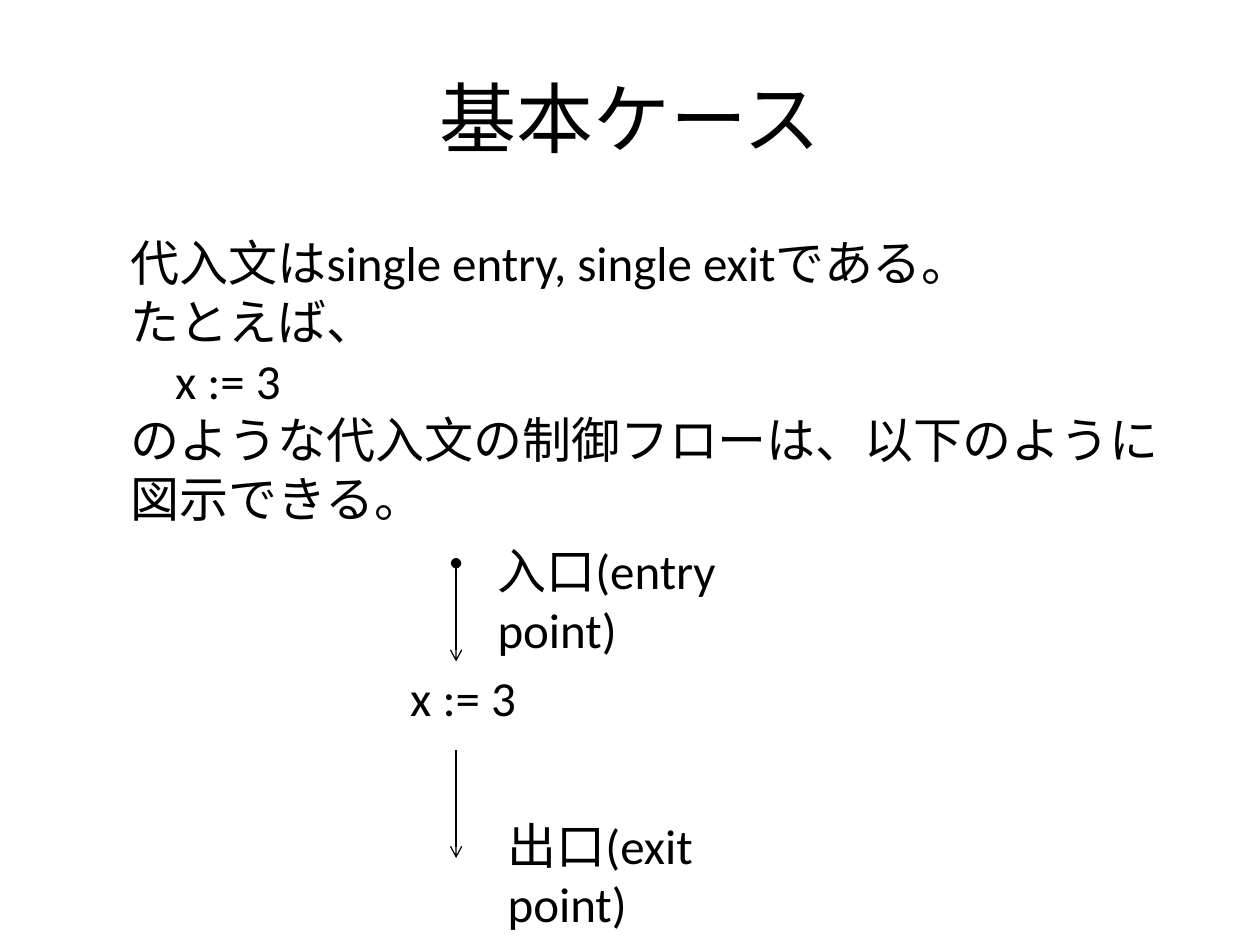
from lxml import etree
from pptx import Presentation
from pptx.dml.color import RGBColor
from pptx.enum.shapes import MSO_CONNECTOR
from pptx.enum.text import MSO_ANCHOR, PP_ALIGN
from pptx.oxml.ns import qn
from pptx.util import Inches, Pt

LINE = MSO_CONNECTOR.STRAIGHT
MIDDLE = MSO_ANCHOR.MIDDLE
CENTER = PP_ALIGN.CENTER
FONT, INK = "Calibri", "000000"

TITLE = "基本ケース"
BODY = [
    "代入文はsingle entry, single exitである。",
    "たとえば、",
    "    x := 3",
    "のような代入文の制御フローは、以下のように図示できる。",
]
TEXTS = [
    (BODY, (0.94, 1.8, 8.44, 2.46), True),
    ([" x := 3"], (3.07, 5.25, 1.14, 0.57), False),
    (["入口(entry point)"], (3.85, 4.24, 2.95, 0.57), True),
    (["出口(exit point)"], (3.93, 6.42, 2.68, 0.57), True),
]
FLOW_X = 3.62
ARROWS = [
    (4.47, 5.25, {"headEnd": "oval", "tailEnd": "arrow"}),
    (5.95, 6.81, {"tailEnd": "arrow"}),
]


def color(code):
    return RGBColor.from_string(code)


def fill_text(frame, lines, size):
    frame.text = "\n".join(lines)
    for para in frame.paragraphs:
        font = para.font
        font.name, font.size = FONT, Pt(size)
        font.color.rgb = color(INK)


def add_text(slide, lines, box, wrap):
    frame = slide.shapes.add_textbox(*map(Inches, box)).text_frame
    frame.word_wrap = wrap
    fill_text(frame, lines, 28)


def add_arrow(slide, top, end, tips):
    x = Inches(FLOW_X)
    arrow = slide.shapes.add_connector(LINE, x, Inches(top), x, Inches(end))
    arrow.line.color.rgb = color(INK)
    arrow.line.width = Pt(0.75)
    props = arrow.element.spPr
    for tag, kind in tips.items():
        etree.SubElement(props.find(qn("a:ln")), qn(f"a:{tag}"), type=kind)
    etree.SubElement(props, qn("a:effectLst"))


def main():
    deck = Presentation()
    deck.slide_width, deck.slide_height = Inches(10), Inches(7.5)
    slide = deck.slides.add_slide(deck.slide_layouts[5])
    title = slide.shapes.title
    title.left, title.top = Inches(0.5), Inches(0.3)
    title.width, title.height = Inches(9), Inches(1.25)
    fill_text(title.text_frame, [TITLE], 44)
    title.text_frame.vertical_anchor = MIDDLE
    title.text_frame.paragraphs[0].alignment = CENTER
    for lines, box, wrap in TEXTS:
        add_text(slide, lines, box, wrap)
    for top, end, tips in ARROWS:
        add_arrow(slide, top, end, tips)
    deck.save("out.pptx")


if __name__ == "__main__":
    main()
